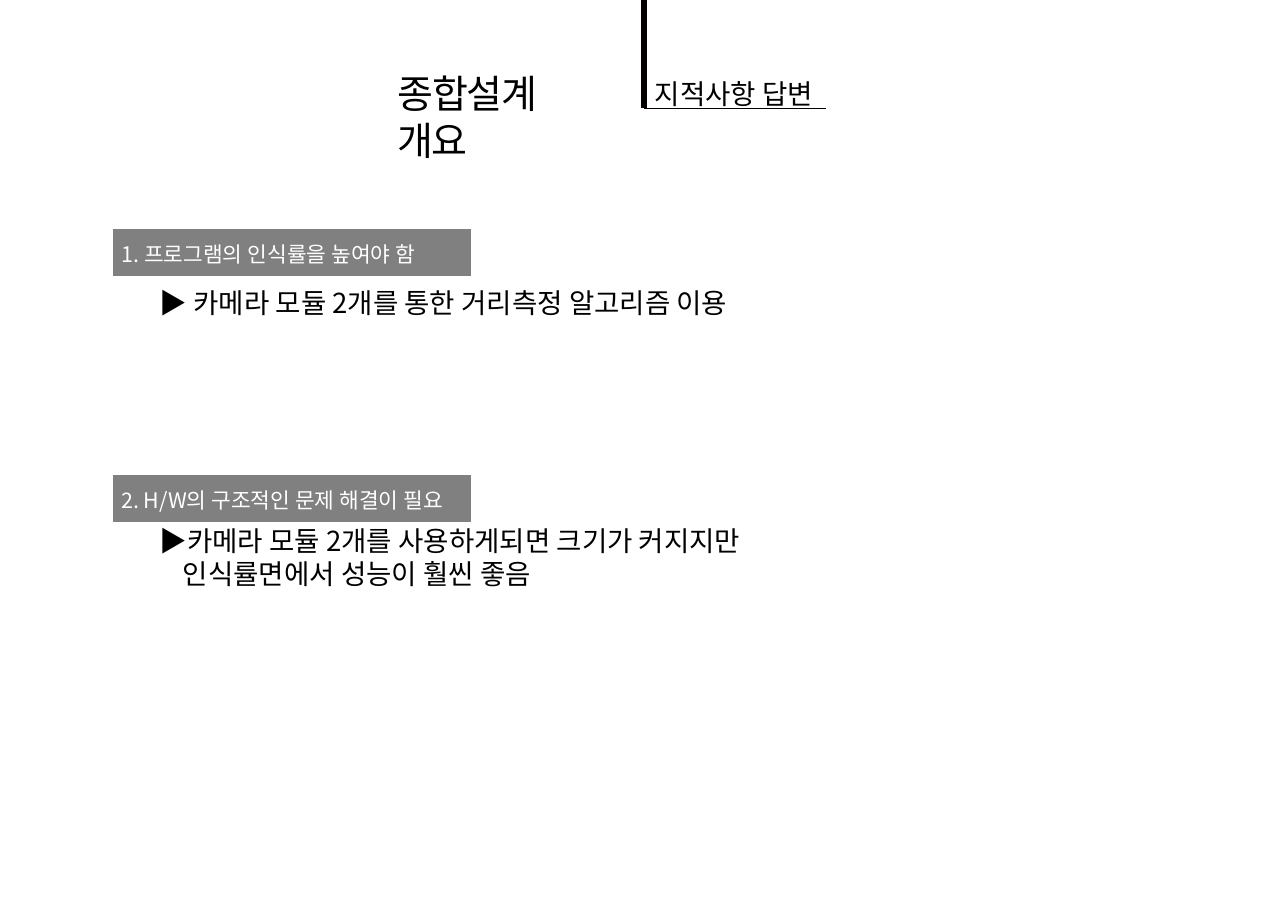
from lxml import etree
from pptx import Presentation
from pptx.dml.color import RGBColor
from pptx.enum.shapes import MSO_CONNECTOR as Connector, MSO_SHAPE as Shape
from pptx.enum.text import MSO_ANCHOR as Anchor, MSO_AUTO_SIZE as AutoSize, PP_ALIGN as Align
from pptx.oxml.ns import qn
from pptx.util import Inches, Pt

BLACK = RGBColor(0x00, 0x00, 0x00)
RULE = RGBColor(0x04, 0x00, 0x00)
GREY = RGBColor(0x80, 0x80, 0x80)
WHITE = RGBColor(0xFF, 0xFF, 0xFF)


class ReviewSlide:
    """Places elements in percent of the slide's width and height."""

    font = "Noto Sans CJK KR"
    leading = 1.2

    def __init__(self, deck):
        self.deck = deck
        two_lists = deck.slide_layouts[3]
        self.slide = deck.slides.add_slide(two_lists)
        self.shapes = self.slide.shapes

    def area(self, left, top, width, height):
        across, down = self.deck.slide_width / 100, self.deck.slide_height / 100
        return [round(n) for n in (left * across, top * down, width * across, height * down)]

    def move(self, placeholder, area):
        (placeholder.left, placeholder.top,
         placeholder.width, placeholder.height) = self.area(*area)

    def fill_text(self, shape, paragraphs, size, color=BLACK, anchor=Anchor.TOP,
                  inset=0.1, indents=()):
        """Fill a shape; each paragraph is a list of (text, letter spacing in points)."""
        frame = shape.text_frame
        frame.word_wrap = True
        frame.auto_size = AutoSize.NONE
        frame.vertical_anchor = anchor
        frame.margin_left, frame.margin_right = Inches(inset), Inches(0.1)
        frame.margin_top, frame.margin_bottom = Inches(0.07), Inches(0.05)
        for number, runs in enumerate(paragraphs):
            paragraph = frame.add_paragraph() if number else frame.paragraphs[0]
            indent = indents[number] if indents else 0
            properties = paragraph._p.get_or_add_pPr()
            properties.set("marL", str(Inches(indent)))
            properties.set("indent", "0")
            etree.SubElement(properties, qn("a:buNone"))
            paragraph.alignment = Align.LEFT
            paragraph.space_before = Pt(0)
            paragraph.line_spacing = Pt(size * self.leading)
            for text, spacing in runs:
                self.add_run(paragraph, text, size, color, spacing)

    def add_run(self, paragraph, text, size, color, spacing):
        run = paragraph.add_run()
        run.text = text
        run.font.size = Pt(size)
        run.font.name = self.font
        run.font.color.rgb = color
        properties = run.font._element
        properties.find(qn("a:latin")).addnext(
            properties.makeelement(qn("a:ea"), {"typeface": self.font}))
        if spacing:
            properties.set("spc", str(round(spacing * 100)))

    def title(self, runs, area):
        self.move(self.shapes.title, area)
        self.fill_text(self.shapes.title, [runs], 25.5)

    def heading(self, text, area):
        self.fill_text(self.shapes.add_textbox(*self.area(*area)), [[(text, 0)]], 18)

    def answer(self, index, lines, area, indents):
        body = self.slide.placeholders[index]
        self.move(body, area)
        self.fill_text(body, [[(line, 0)] for line in lines], 18, indents=indents)

    def remark(self, text, area):
        bar = self.shapes.add_shape(Shape.RECTANGLE, *self.area(*area))
        bar.shadow.inherit = False
        bar.fill.solid()
        bar.fill.fore_color.rgb = GREY
        bar.line.color.rgb = WHITE
        bar.line.width = Pt(2)
        self.fill_text(bar, [[(text, 0)]], 14, WHITE, Anchor.MIDDLE, inset=0.09)

    def rule(self, left, top, width, height, weight):
        x, y, across, down = self.area(left, top, width, height)
        line = self.shapes.add_connector(Connector.STRAIGHT, x, y, x + across, y + down)
        line.line.color.rgb = RULE
        line.line.width = Pt(weight)
        etree.SubElement(line._element.spPr, qn("a:effectLst"))


def main():
    deck = Presentation()
    deck.slide_width, deck.slide_height = Inches(11.69), Inches(8.27)
    review = ReviewSlide(deck)

    middle, underline = 50, 11.9
    review.rule(middle, 0, 0, underline, 4)
    review.rule(middle, underline, 14.1, 0, 1)
    review.title([("종합설계 ", -0.9), ("개요", -1.2)], (30, 6.8, 18, 6.4))
    review.heading("지적사항 답변", (middle, 7.6, 14.5, 4.8))

    remarks = [
        ("1. 프로그램의 인식률을 높여야 함", 25,
         ["▶ 카메라 모듈 2개를 통한 거리측정 알고리즘 이용"], 30.5, 4.8),
        ("2. H/W의 구조적인 문제 해결이 필요", 52,
         ["▶카메라 모듈 2개를 사용하게되면 크기가 커지지만",
          "인식률면에서 성능이 훨씬 좋음"], 56.7, 8.6),
    ]
    for index, (remark, remark_top, answer, answer_top, height) in enumerate(remarks, 1):
        review.answer(index, answer, (11.55, answer_top, 47, height), (0, 0.21))
        review.remark(remark, (8.65, remark_top, 28.05, 5.45))

    deck.save("out.pptx")


if __name__ == "__main__":
    main()
